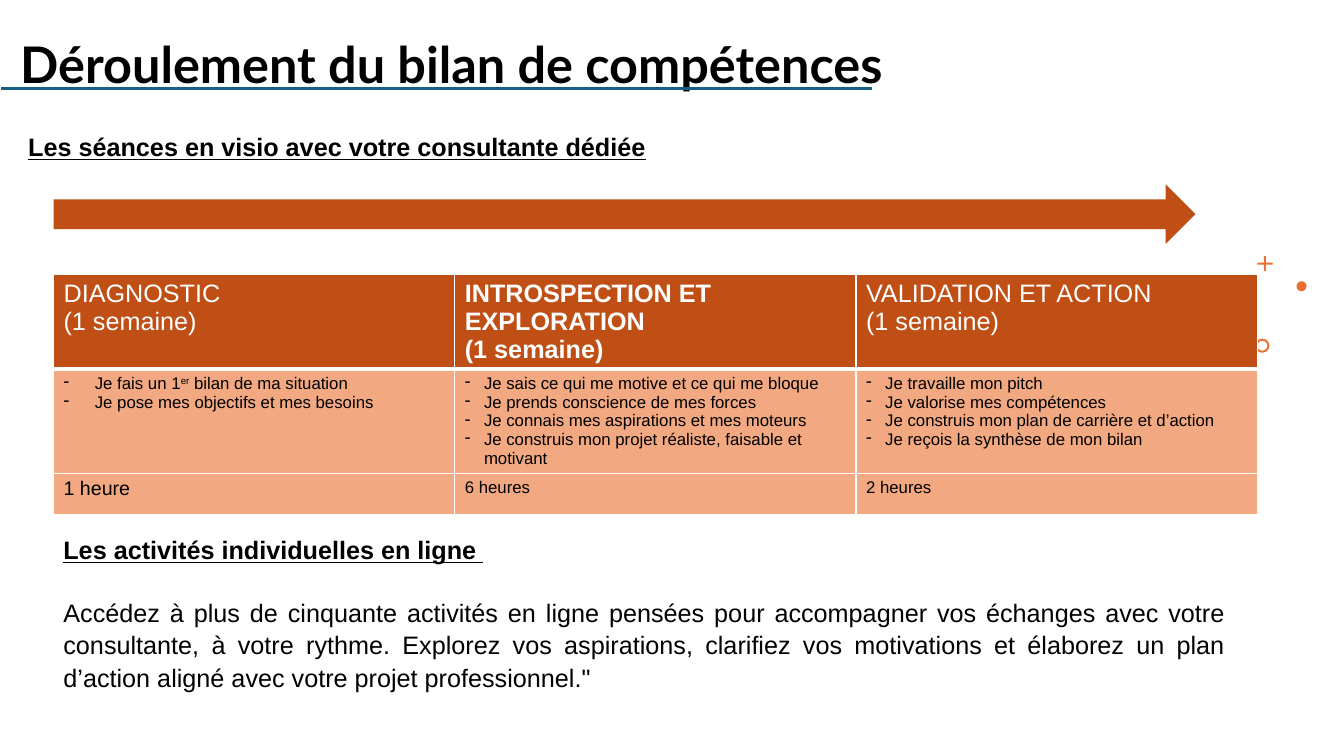
from lxml.etree import SubElement
from pptx import Presentation
from pptx.dml.color import RGBColor
from pptx.enum.shapes import MSO_CONNECTOR, MSO_SHAPE
from pptx.enum.text import MSO_ANCHOR, MSO_AUTO_SIZE, PP_ALIGN
from pptx.oxml.ns import qn
from pptx.util import Inches, Pt

SLIDE_W, SLIDE_H = Inches(13.33), Inches(7.5)
BLACK = RGBColor(0, 0, 0)
WHITE = RGBColor(255, 255, 255)
RUST = RGBColor(0xBF, 0x4F, 0x14)
PEACH = RGBColor(0xF2, 0xA9, 0x82)
ORANGE = RGBColor(0xE9, 0x71, 0x32)
TEAL = RGBColor(0x15, 0x60, 0x82)

LEFT = 3.98
ROW_HEIGHTS = (12.4, 13.6, 5.47)
# Per phase: name, bold header, bullet indent, steps, duration, duration size
PHASES = [
    ("DIAGNOSTIC", False, 0.31,
     [["Je fais un 1", "^er", " bilan de ma situation"],
      ["Je pose mes objectifs et mes besoins"]],
     "1 heure", 14),
    ("INTROSPECTION ET EXPLORATION", True, 0.19,
     [["Je sais ce qui me motive et ce qui me bloque"],
      ["Je prends conscience de mes forces"],
      ["Je connais mes aspirations et mes moteurs"],
      ["Je construis mon projet réaliste, faisable et motivant"]],
     "6 heures", 12),
    ("VALIDATION ET ACTION", False, 0.19,
     [["Je travaille mon pitch"],
      ["Je valorise mes compétences"],
      ["Je construis mon plan de carrière et d’action"],
      ["Je reçois la synthèse de mon bilan"]],
     "2 heures", 12),
]
ONLINE_TEXT = (
    "Accédez à plus de cinquante activités en ligne pensées pour accompagner "
    "vos échanges avec votre consultante, à votre rythme. Explorez vos "
    "aspirations, clarifiez vos motivations et élaborez un plan d’action "
    "aligné avec votre projet professionnel.\"")


def across(percent):
    return round(SLIDE_W * percent / 100)


def down(percent):
    return round(SLIDE_H * percent / 100)


def area(left, top, width, height):
    """Turn shares of the slide, in percent, into a position and a size."""
    return across(left), down(top), across(width), down(height)


def write(paragraph, *parts, size=18, font="Arial", color=BLACK, bold=False,
          underline=False, align=PP_ALIGN.LEFT, spacing=1.0, after=0):
    """Add the parts as runs; a part that starts with ^ is superscript."""
    paragraph.alignment = align
    paragraph.line_spacing = spacing
    paragraph.space_before = Pt(0)
    paragraph.space_after = Pt(after)
    for part in parts:
        run = paragraph.add_run()
        run.text = part.removeprefix("^")
        run.font.name, run.font.size = font, Pt(size)
        run.font.bold, run.font.underline = bold, underline
        run.font.color.rgb = color
        if part.startswith("^"):
            run.font._element.set("baseline", "30000")


def set_bullet(paragraph, indent=0, mark=None):
    properties = paragraph._p.get_or_add_pPr()
    properties.set("marL", str(Inches(indent)))
    properties.set("indent", str(-Inches(indent)))
    if mark:
        SubElement(properties, qn("a:buChar"), char=mark)
    else:
        SubElement(properties, qn("a:buNone"))


def next_paragraph(frame, index):
    return frame.add_paragraph() if index else frame.paragraphs[0]


def fill_placeholder(placeholder, place, text, anchor, **text_format):
    placeholder.left, placeholder.top, placeholder.width, placeholder.height = area(*place)
    frame = placeholder.text_frame
    frame.auto_size = MSO_AUTO_SIZE.NONE
    frame.vertical_anchor = anchor
    write(frame.paragraphs[0], text, bold=True, spacing=0.9, **text_format)
    set_bullet(frame.paragraphs[0])


def add_filled_shape(slide, kind, place, color, *adjustments):
    shape = slide.shapes.add_shape(kind, *area(*place))
    shape.shadow.inherit = False
    shape.fill.solid()
    shape.fill.fore_color.rgb = color
    shape.line.fill.background()
    for index, value in enumerate(adjustments):
        shape.adjustments[index] = value


def add_title_rule(slide):
    rule = slide.shapes.add_connector(
        MSO_CONNECTOR.STRAIGHT, across(0.08), down(11.73), across(64.89), down(11.73))
    rule.line.color.rgb = TEAL
    rule.line.width = Pt(2)
    SubElement(rule._element.spPr, qn("a:effectLst"))


def style_cell(cell, color, top=1, bottom=1):
    """Fill the cell and give it white borders, with widths in points."""
    properties = cell._tc.get_or_add_tcPr()
    for side, width in zip("LRTB", (1, 1, top, bottom)):
        border = SubElement(properties, qn(f"a:ln{side}"), w=str(Pt(width)))
        solid = SubElement(border, qn("a:solidFill"))
        SubElement(solid, qn("a:srgbClr"), val=str(WHITE))
    cell.fill.solid()
    cell.fill.fore_color.rgb = color


def add_phase_table(slide):
    table = slide.shapes.add_table(
        len(ROW_HEIGHTS), len(PHASES),
        *area(LEFT, 36.27, 89.57, sum(ROW_HEIGHTS))).table
    for row, height in zip(table.rows, ROW_HEIGHTS):
        row.height = down(height)
    for column, (name, bold, indent, steps, duration, size) in enumerate(PHASES):
        header, content, footer = (table.cell(row, column) for row in range(3))
        style_cell(header, RUST, bottom=3)
        style_cell(content, PEACH, top=3)
        style_cell(footer, PEACH)
        for index, line in enumerate((name, "(1 semaine)")):
            write(next_paragraph(header.text_frame, index), line, color=WHITE, bold=bold)
        for index, step in enumerate(steps):
            paragraph = next_paragraph(content.text_frame, index)
            write(paragraph, *step, size=12)
            set_bullet(paragraph, indent, "-")
        write(footer.text_frame.paragraphs[0], duration, size=size)


def add_online_activities(slide):
    frame = slide.shapes.add_textbox(*area(LEFT, 69.73, 87.92, 21.6)).text_frame
    frame.word_wrap = True
    write(frame.paragraphs[0], "Les activités individuelles en ligne ", bold=True,
          underline=True, align=PP_ALIGN.JUSTIFY, spacing=1.07, after=22)
    write(frame.add_paragraph(), ONLINE_TEXT, align=PP_ALIGN.JUSTIFY, spacing=1.07)


def main():
    deck = Presentation()
    deck.slide_width, deck.slide_height = SLIDE_W, SLIDE_H
    slide = deck.slides.add_slide(deck.slide_layouts[1])
    fill_placeholder(slide.shapes.title, (0.75, 2.13, 98.33, 11.07),
                     "Déroulement du bilan de compétences", MSO_ANCHOR.BOTTOM,
                     size=36, font="Lato")
    add_title_rule(slide)
    fill_placeholder(slide.placeholders[1], (1.35, 17.2, 93.77, 80.67),
                     "Les séances en visio avec votre consultante dédiée",
                     MSO_ANCHOR.TOP, underline=True)
    add_filled_shape(slide, MSO_SHAPE.CROSS, (93.55, 33.87, 1.13, 2), ORANGE, 0.43)
    add_filled_shape(slide, MSO_SHAPE.OVAL, (96.47, 37.2, 0.75, 1.33), ORANGE)
    add_filled_shape(slide, MSO_SHAPE.DONUT, (93.4, 44.8, 1.05, 1.87), ORANGE, 0.14)
    add_filled_shape(slide, MSO_SHAPE.RIGHT_ARROW, (LEFT, 24.4, 84.97, 7.87), RUST, 0.5, 0.5)
    add_phase_table(slide)
    add_online_activities(slide)
    deck.save("out.pptx")


if __name__ == "__main__":
    main()
